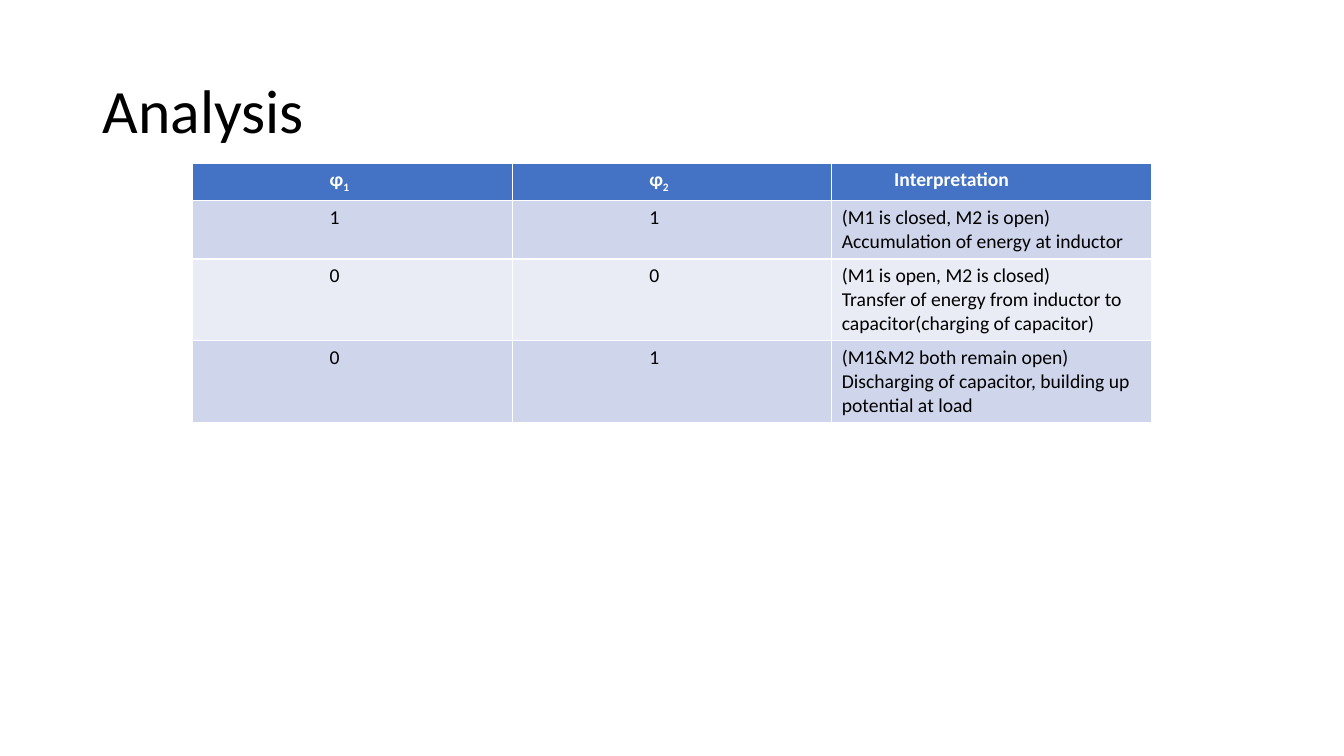
from dataclasses import dataclass

from pptx import Presentation
from pptx.dml.color import RGBColor
from pptx.enum.text import MSO_ANCHOR as Anchor, PP_ALIGN as Align
from pptx.util import Inches, Pt

COLORS = {
    "black": "000000",
    "white": "FFFFFF",
    "header": "4472C4",
    "band_dark": "CFD5EA",
    "band_light": "E9EBF5",
}
COLUMN_WIDTH = 3.17
VALUE_INDENT = 1.36
HEADING_INDENT = 0.62
TEXT_INDENT = 0.1


@dataclass
class Heading:
    text: str
    subscript: str
    indent: float


@dataclass
class State:
    phi1: str
    phi2: str
    interpretation: list[str]
    height: float


HEADINGS = [
    Heading("ɸ", "1", VALUE_INDENT),
    Heading("ɸ", "2", VALUE_INDENT),
    Heading("Interpretation", "", HEADING_INDENT),
]
STATES = [
    State("1", "1", ["(M1 is closed, M2 is open) Accumulation of energy at inductor"], 0.58),
    State("0", "0", ["(M1 is open, M2 is closed)",
                     "Transfer of energy from inductor to capacitor(charging of capacitor)"], 0.81),
    State("0", "1", ["(M1&M2 both remain open) Discharging of capacitor, "
                     "building up potential at load"], 0.81),
]


def add_text(p, text: str, *, size: float = 14, color: str = "black",
             bold: bool = False, subscript: bool = False) -> None:
    r = p.add_run()
    r.text = text
    r.font.name = "Calibri"
    r.font.size = Pt(size)
    r.font.bold = bold
    r.font.color.rgb = RGBColor.from_string(COLORS[color])
    if subscript:
        r.font._element.set("baseline", "-25000")


def format_cell(cell, fill: str, indent: float) -> None:
    cell.fill.solid()
    cell.fill.fore_color.rgb = RGBColor.from_string(COLORS[fill])
    cell.margin_left = Inches(indent)


def add_title(slide, text: str) -> None:
    sp = slide.shapes.title
    sp.left, sp.top, sp.width, sp.height = map(Inches, (0.92, 0.4, 11.5, 1.45))
    tf = sp.text_frame
    tf.vertical_anchor = Anchor.MIDDLE
    p = tf.paragraphs[0]
    p.alignment = Align.LEFT
    p.line_spacing = 0.9
    add_text(p, text, size=44)


def fill_header(table) -> None:
    for column, heading in enumerate(HEADINGS):
        cell = table.cell(0, column)
        format_cell(cell, "header", heading.indent)
        p = cell.text_frame.paragraphs[0]
        add_text(p, heading.text, color="white", bold=True)
        if heading.subscript:
            add_text(p, heading.subscript, color="white", bold=True, subscript=True)


def fill_state(table, row: int, state: State) -> None:
    table.rows[row].height = Inches(state.height)
    fill = "band_dark" if row % 2 else "band_light"
    contents = [
        ([state.phi1], VALUE_INDENT),
        ([state.phi2], VALUE_INDENT),
        (state.interpretation, TEXT_INDENT),
    ]
    for column, (lines, indent) in enumerate(contents):
        cell = table.cell(row, column)
        format_cell(cell, fill, indent)
        tf = cell.text_frame
        for i, line in enumerate(lines):
            add_text(tf.add_paragraph() if i else tf.paragraphs[0], line)


def add_state_table(slide) -> None:
    table = slide.shapes.add_table(
        len(STATES) + 1, len(HEADINGS), Inches(1.91), Inches(1.62),
        Inches(COLUMN_WIDTH * len(HEADINGS)), Inches(2.57)).table
    for column in table.columns:
        column.width = Inches(COLUMN_WIDTH)
    table.rows[0].height = Inches(0.37)
    fill_header(table)
    for row, state in enumerate(STATES, start=1):
        fill_state(table, row, state)


def main() -> None:
    prs = Presentation()
    prs.slide_width, prs.slide_height = Inches(13.33), Inches(7.5)
    slide = prs.slides.add_slide(prs.slide_layouts[5])
    add_title(slide, "Analysis")
    add_state_table(slide)
    prs.save("out.pptx")


if __name__ == "__main__":
    main()
